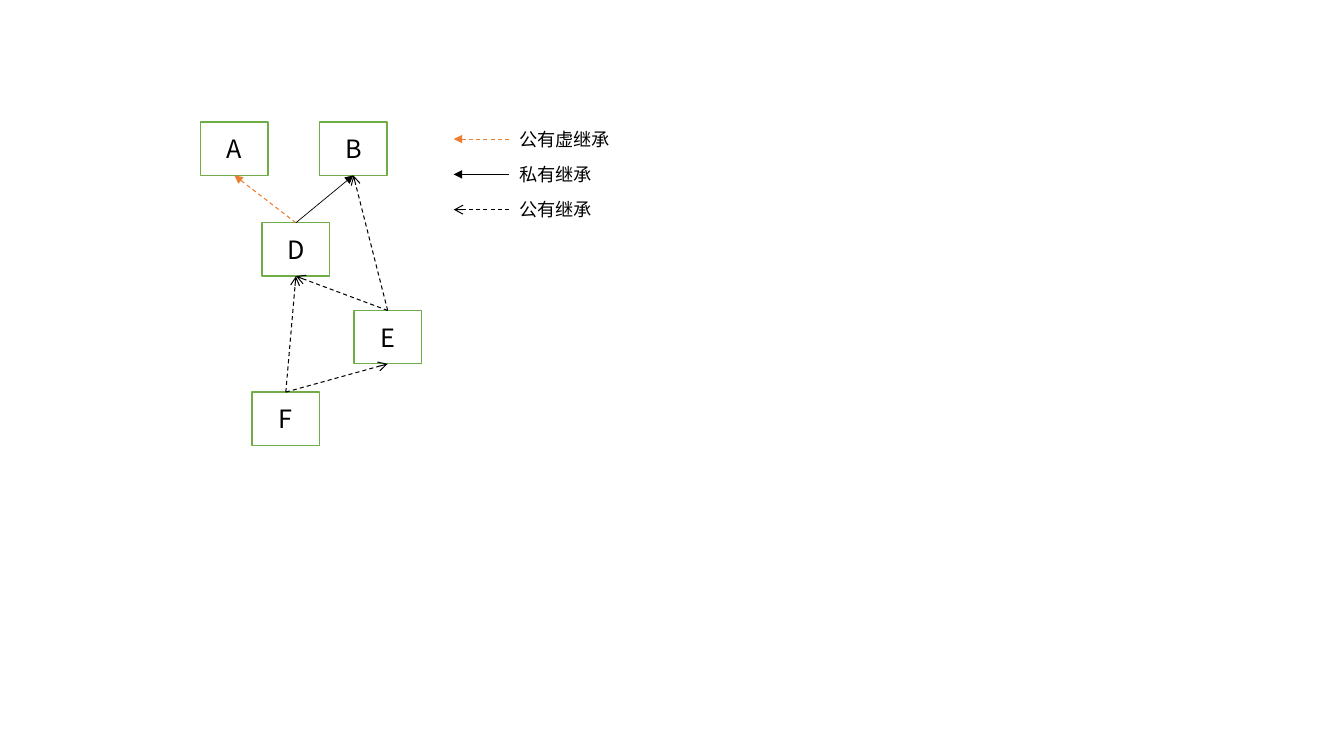
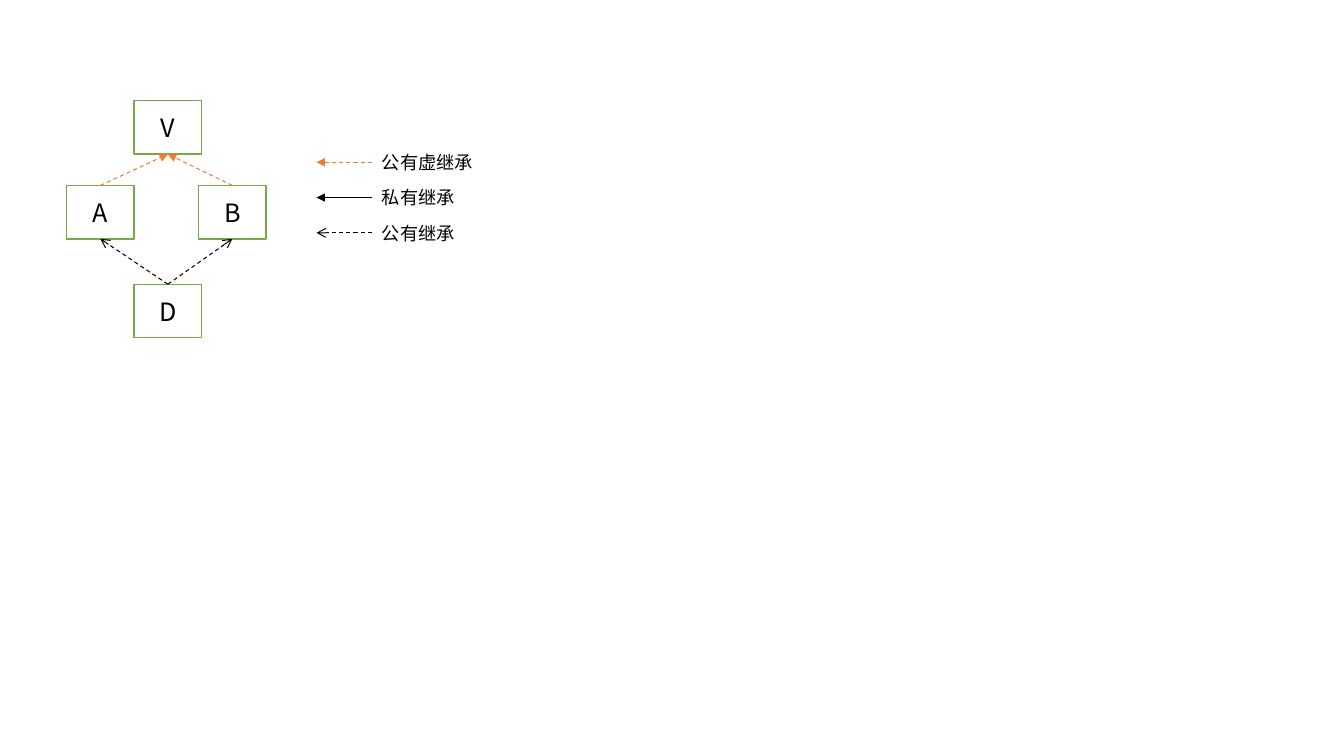
"""Two class inheritance diagrams, each with a legend of its arrow styles."""
from pptx import Presentation
from pptx import util as u
from pptx.dml.color import RGBColor
from pptx.enum import dml, shapes, text
from pptx.oxml.ns import qn
from lxml import etree

FONT = "Noto Sans CJK SC"
WHITE, BLACK, GREEN, ORANGE = "FFFFFF", "000000", "70AD47", "ED7D31"
BOX_W, BOX_H = 0.67, 0.53
DASH = dml.MSO_LINE.DASH
SITE_TOP, SITE_BOTTOM = 0, 2

# Kind of inheritance: label, label width, line colour, line width, dash, head
KINDS = {
    "virtual": ("公有虚继承", 1.11, ORANGE, 0.75, DASH, "triangle"),
    "private": ("私有继承", 0.93, BLACK, 0.5, None, "triangle"),
    "public": ("公有继承", 0.93, BLACK, 0.75, DASH, "arrow"),
}

# Nodes hold left and top; links run from derived class to base class
SLIDES = [
    {
        "nodes": {"A": (1.99, 1.21), "B": (3.17, 1.21), "D": (2.6, 2.21),
                  "E": (3.51, 3.08), "F": (2.5, 3.89)},
        "links": [("D", "A", "virtual"), ("D", "B", "private"),
                  ("E", "D", "public"), ("E", "B", "public"),
                  ("F", "E", "public"), ("F", "D", "public")],
        "legend": (4.5, 1.2),
    },
    {
        "nodes": {"V": (1.33, 1), "A": (0.66, 1.84), "B": (1.97, 1.84),
                  "D": (1.33, 2.82)},
        "links": [("A", "V", "virtual"), ("B", "V", "virtual"),
                  ("D", "A", "public"), ("D", "B", "public")],
        "legend": (3.14, 1.43),
    },
]


def rgb(code):
    """Turn a hex string into a colour."""
    return RGBColor.from_string(code)


def apply(obj, style):
    """Set each attribute of a style dict on an object."""
    for key, val in style.items():
        setattr(obj, key, val)


def write(shape, label, size, align, wrap):
    """Put one styled paragraph into a shape."""
    frame = shape.text_frame
    apply(frame, {"word_wrap": wrap,
                  "vertical_anchor": text.MSO_ANCHOR.MIDDLE})
    para = frame.paragraphs[0]
    para.alignment = align
    run = para.add_run()
    run.text = label
    run.font.color.rgb = rgb(BLACK)
    apply(run.font, {"size": u.Pt(size), "name": FONT})
    props = run.font._element
    etree.SubElement(props, qn("a:ea")).set("typeface", FONT)


def node(slide, name, left, top):
    """Draw one class box and return it."""
    box = slide.shapes.add_shape(
        shapes.MSO_SHAPE.RECTANGLE, u.Inches(left), u.Inches(top),
        u.Inches(BOX_W), u.Inches(BOX_H))
    box.shadow.inherit = False
    box.fill.solid()
    box.fill.fore_color.rgb = rgb(WHITE)
    box.line.color.rgb = rgb(GREEN)
    box.line.width = u.Pt(1)
    write(box, name, 18, text.PP_ALIGN.CENTER, True)
    return box


def arrow(slide, kind, start=(0, 0), end=(0, 0)):
    """Draw an arrow in the style of its kind of inheritance."""
    _, _, color, width, dash, head = KINDS[kind]
    link = slide.shapes.add_connector(
        shapes.MSO_CONNECTOR.STRAIGHT, *map(u.Inches, start + end))
    link.line.color.rgb = rgb(color)
    apply(link.line, {"width": u.Pt(width), "dash_style": dash})
    tail = etree.SubElement(link.line._get_or_add_ln(), qn("a:tailEnd"))
    tail.set("type", head)
    etree.SubElement(link._element.spPr, qn("a:effectLst"))
    return link


def graph(slide, nodes, links):
    """Draw the class boxes and glue the arrows between them."""
    boxes = {name: node(slide, name, *spot) for name, spot in nodes.items()}
    for child, base, kind in links:
        link = arrow(slide, kind)
        link.begin_connect(boxes[child], SITE_TOP)
        link.end_connect(boxes[base], SITE_BOTTOM)


def legend(slide, left, top, length=0.55, step=0.35, height=0.32):
    """List every kind of inheritance with its arrow and label."""
    right = left + length
    for row, (kind, (label, width, *_)) in enumerate(KINDS.items()):
        mid = top + 0.18 + row * step
        arrow(slide, kind, (right, mid), (left, mid))
        box = slide.shapes.add_textbox(
            u.Inches(right), u.Inches(mid - height / 2),
            u.Inches(width), u.Inches(height))
        write(box, label, 13, text.PP_ALIGN.LEFT, False)


def main():
    """Build and save the deck."""
    deck = Presentation()
    apply(deck, {"slide_width": u.Inches(13.33),
                 "slide_height": u.Inches(7.5)})
    blank = deck.slide_layouts.get_by_name("Blank")
    for data in SLIDES:
        slide = deck.slides.add_slide(blank)
        graph(slide, data["nodes"], data["links"])
        legend(slide, *data["legend"])
    deck.save("out.pptx")


main()
